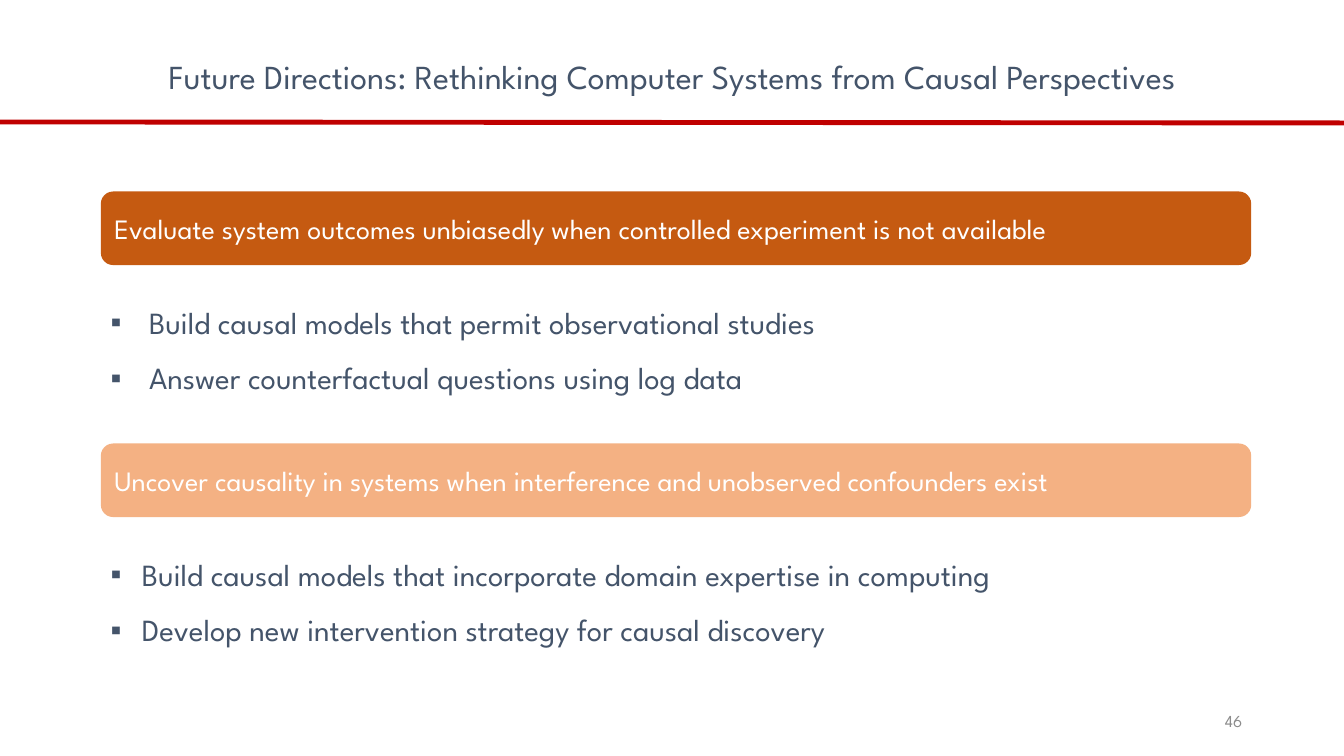
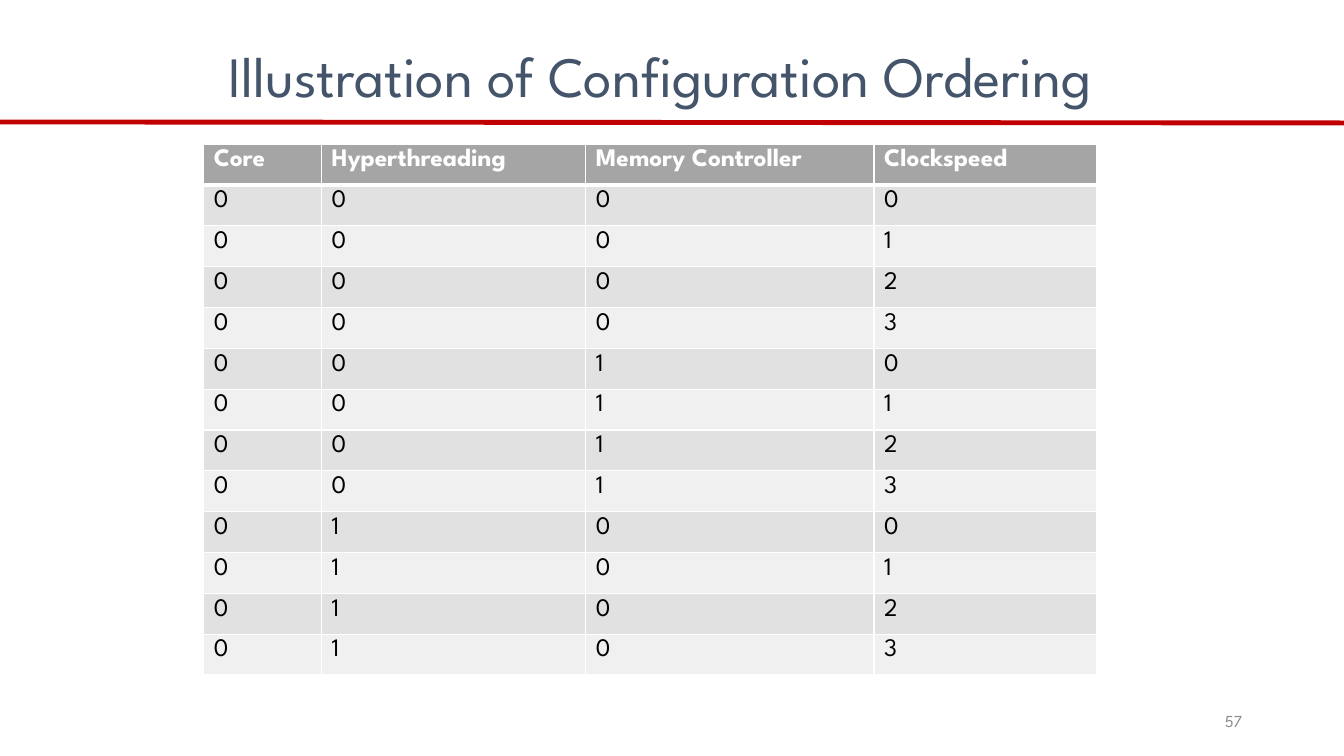
from lxml.etree import SubElement
from pptx import Presentation
from pptx.dml.color import RGBColor
from pptx.enum.shapes import MSO_CONNECTOR, MSO_SHAPE
from pptx.enum.text import MSO_ANCHOR, MSO_AUTO_SIZE, PP_ALIGN
from pptx.oxml import parse_xml
from pptx.oxml.ns import nsdecls, qn
from pptx.util import Inches, Pt

FONT = "League Spartan"
SLATE = RGBColor(0x44, 0x54, 0x6A)
RED = RGBColor(0xC0, 0x00, 0x00)
RUST = RGBColor(0xC5, 0x5A, 0x11)
PEACH = RGBColor(0xF4, 0xB1, 0x83)
WHITE = RGBColor(0xFF, 0xFF, 0xFF)
BLACK = RGBColor(0x00, 0x00, 0x00)
GRAY = RGBColor(0x8C, 0x8C, 0x8C)
HEAD = RGBColor(0xA5, 0xA5, 0xA5)
BANDS = (RGBColor(0xE1, 0xE1, 0xE1), RGBColor(0xF0, 0xF0, 0xF0))


def style(target, values):
    for name, value in values.items():
        setattr(target, name, value)


class Deck:
    def __init__(self):
        self.show = Presentation()
        style(self.show, {"slide_width": Inches(13.33), "slide_height": Inches(7.5)})
        self.slide = None

    def label(self, para, text, size, color, bold=False, **form):
        para.text = text
        style(para, form)
        style(para.font, {"name": FONT, "size": Pt(size), "bold": bold})
        para.font.color.rgb = color

    def start(self, text, box, size, space, number):
        self.slide = self.show.slides.add_slide(self.show.slide_layouts[5])
        self.rule()
        self.title(text, box, size, space)
        self.footer(number)

    def title(self, text, box, size, space):
        shape = self.slide.shapes.title
        sides = ("left", "top", "width", "height")
        style(shape, dict(zip(sides, map(Inches, box))))
        frame = shape.text_frame
        style(frame, {"word_wrap": True, "auto_size": MSO_AUTO_SIZE.NONE,
                      "vertical_anchor": MSO_ANCHOR.TOP})
        self.label(frame.paragraphs[0], text, size, SLATE,
                   alignment=PP_ALIGN.CENTER, line_spacing=space)

    def rule(self):
        line = self.slide.shapes.add_connector(
            MSO_CONNECTOR.STRAIGHT, 0, Inches(1.21), Inches(13.33), Inches(1.22))
        line.line.color.rgb = RED
        line.line.width = Pt(3.5)
        SubElement(line._element.spPr, qn("a:effectLst"))

    def text(self, box, anchor=MSO_ANCHOR.TOP):
        frame = self.slide.shapes.add_textbox(*map(Inches, box)).text_frame
        style(frame, {"word_wrap": True, "vertical_anchor": anchor})
        return frame

    def footer(self, number):
        frame = self.text((9.42, 6.95, 3, 0.4), MSO_ANCHOR.MIDDLE)
        self.label(frame.paragraphs[0], str(number), 12, GRAY,
                   alignment=PP_ALIGN.RIGHT)

    def banner(self, top, fill, text):
        shape = self.slide.shapes.add_shape(
            MSO_SHAPE.ROUNDED_RECTANGLE, *map(Inches, (1, top, 11.41, 0.73)))
        shape.shadow.inherit = False
        shape.fill.solid()
        shape.fill.fore_color.rgb = fill
        shape.line.fill.background()
        shape.text_frame.vertical_anchor = MSO_ANCHOR.MIDDLE
        self.label(shape.text_frame.paragraphs[0], text, 20, WHITE,
                   alignment=PP_ALIGN.LEFT)

    def points(self, top, indent, items):
        frame = self.text((1, top, 11.17, 1.14))
        frame.auto_size = MSO_AUTO_SIZE.SHAPE_TO_FIT_TEXT
        for i, item in enumerate(items):
            para = frame.add_paragraph() if i else frame.paragraphs[0]
            form = para._p.get_or_add_pPr()
            form.set("marL", str(Inches(indent)))
            form.set("indent", str(-Inches(indent)))
            SubElement(form, qn("a:buFont"), typeface="Arial")
            SubElement(form, qn("a:buChar"), char="▪")
            self.label(para, item, 22, SLATE, line_spacing=1.5)

    def border(self, cell, sides):
        form = cell._tc.get_or_add_tcPr()
        for i, (side, width) in enumerate(sides.items()):
            form.insert(i, parse_xml(
                f'<a:ln{side} {nsdecls("a")} w="{Pt(width)}"><a:solidFill>'
                f'<a:srgbClr val="{WHITE}"/></a:solidFill></a:ln{side}>'))

    def table(self, box, widths, rows):
        grid = self.slide.shapes.add_table(
            len(rows), len(widths), *map(Inches, box)).table
        for col, width in zip(grid.columns, widths):
            col.width = Inches(width)
        for r, row in enumerate(rows):
            top = r == 0
            for c, value in enumerate(row):
                cell = grid.cell(r, c)
                cell.fill.solid()
                cell.fill.fore_color.rgb = HEAD if top else BANDS[(r - 1) % 2]
                self.border(cell, {"L": 1, "R": 1, "T": 3 if r == 1 else 1,
                                   "B": 3 if top else 1})
                self.label(cell.text_frame.paragraphs[0], str(value), 18,
                           WHITE if top else BLACK, bold=top)


def main():
    deck = Deck()
    deck.start("Future Directions: Rethinking Computer Systems from Causal Perspectives",
               (0.48, 0.55, 12.37, 0.61), 24, 0.9, 46)
    themes = (
        (RUST, "Evaluate system outcomes unbiasedly when controlled experiment is not available",
         0.38, ("Build causal models that permit observational studies",
                "Answer counterfactual questions using log data")),
        (PEACH, "Uncover causality in systems when interference and unobserved confounders exist",
         0.31, ("Build causal models that incorporate domain expertise in computing",
                "Develop new intervention strategy for causal discovery")),
    )
    for i, (fill, text, indent, items) in enumerate(themes):
        top = 1.9 + 2.5 * i
        deck.banner(top, fill, text)
        deck.points(top + 0.88, indent, items)

    deck.start("Illustration of Configuration Ordering",
               (0.8, 0.54, 11.5, 0.61), 40.7, 0.7, 57)
    rows = [("Core", "Hyperthreading", "Memory Controller", "Clockspeed")]
    rows += [(0, i // 8, i // 4 % 2, i % 4) for i in range(12)]
    deck.table((2.02, 1.43, 8.86, 5.27), (1.17, 2.62, 2.86, 2.21), rows)
    deck.show.save("out.pptx")


if __name__ == "__main__":
    main()
